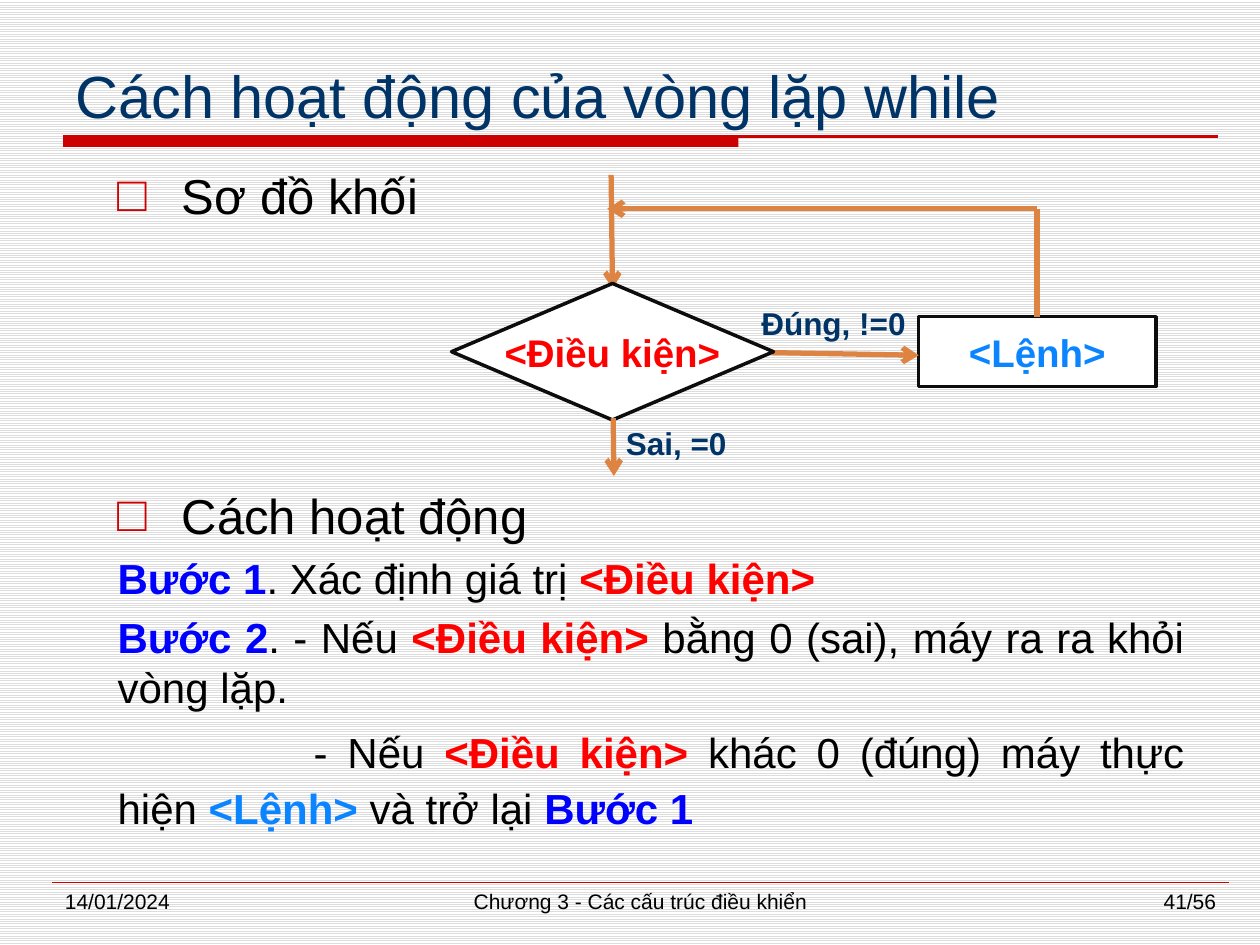
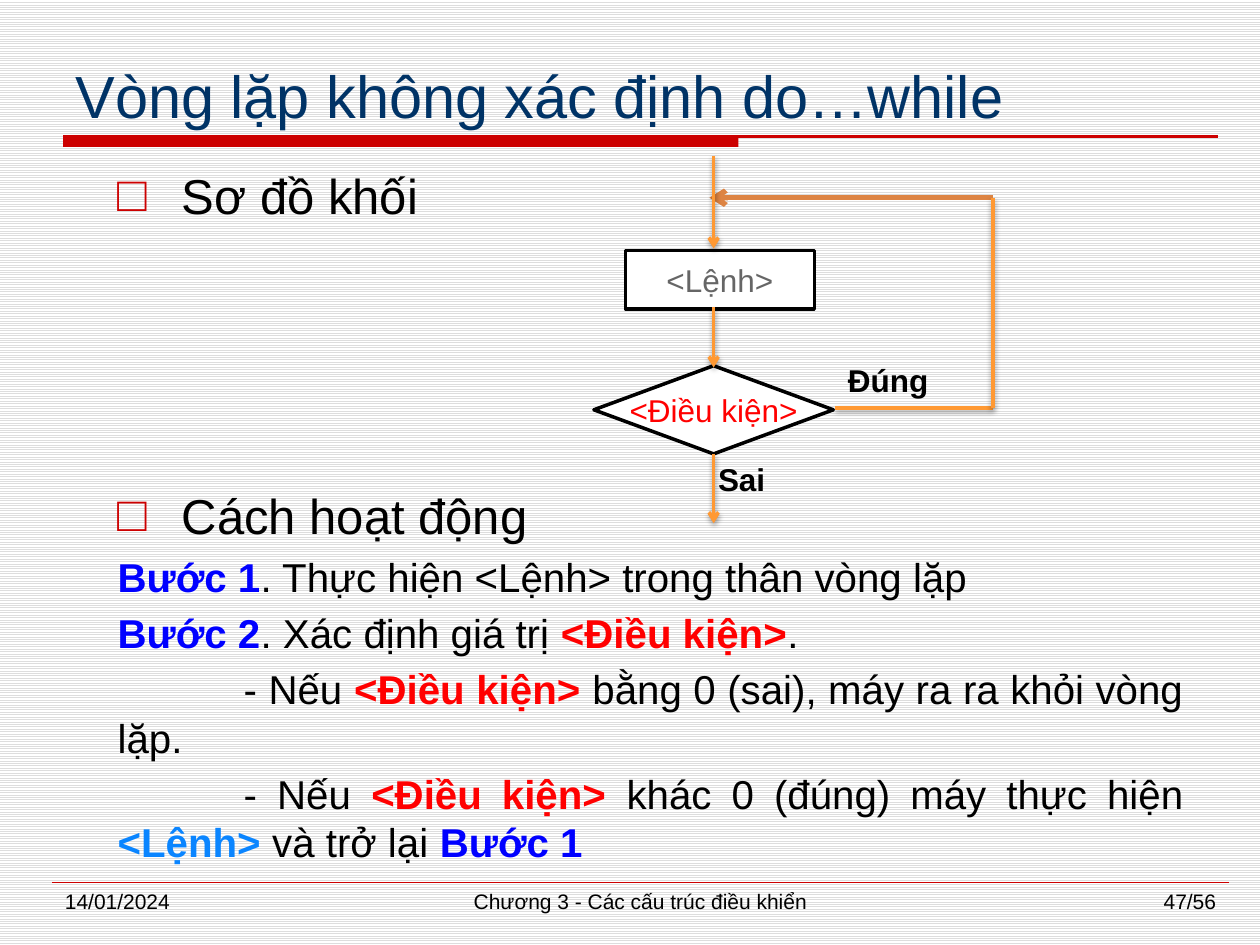
from lxml.etree import SubElement
from pptx import Presentation
from pptx.dml.color import RGBColor
from pptx.enum.dml import MSO_PATTERN
from pptx.enum.shapes import MSO_CONNECTOR, MSO_SHAPE
from pptx.enum.text import MSO_ANCHOR, MSO_AUTO_SIZE, PP_ALIGN
from pptx.oxml.ns import qn
from pptx.util import Pt

FONT = "Arial"
NAVY = RGBColor(0x00, 0x33, 0x66)
RED = RGBColor(0xCC, 0x00, 0x00)
BRIGHT_RED = RGBColor(0xFF, 0x00, 0x00)
BLUE = RGBColor(0x00, 0x00, 0xFF)
SKY = RGBColor(0x0A, 0x85, 0xFF)
COPPER = RGBColor(0xDD, 0x84, 0x43)
ORANGE = RGBColor(0xFF, 0x99, 0x33)
BLACK = RGBColor(0x00, 0x00, 0x00)
INK = RGBColor(0x0D, 0x0D, 0x0D)
GRAY = RGBColor(0x66, 0x66, 0x66)
PALE = RGBColor(0xDD, 0xDD, 0xDD)
WHITE = RGBColor(0xFF, 0xFF, 0xFF)

# Recurring words of the steps: text, colour, bold
CONDITION = ("<Điều kiện>", BRIGHT_RED, True)
COMMAND = ("<Lệnh>", SKY, True)
STEP_1 = ("Bước 1", BLUE, True)
STEP_2 = ("Bước 2", BLUE, True)

HEADING_SIZE = 28
HEADING_INDENT = 36.7
DIAGRAM_GAP = 149


def plain(text):
    return text, BLACK, False


class LectureDeck:
    def __init__(self):
        self.deck = Presentation()
        self.deck.slide_width, self.deck.slide_height = Pt(720), Pt(540)
        fill = self.deck.slide_master.background.fill
        fill.patterned()
        fill.pattern = MSO_PATTERN.LIGHT_HORIZONTAL
        fill.fore_color.rgb, fill.back_color.rgb = PALE, WHITE
        self.slide = None

    # Slide frame: title, red band, footer
    def new_slide(self, title, number):
        self.slide = self.deck.slides.add_slide(self.deck.slide_layouts[1])
        self.block(MSO_SHAPE.RECTANGLE, (36, 78, 386, 6), RED)
        self.line((36, 78), (696, 78), RED, 1.5)
        self.line((30, 504), (702, 504), RED, 0.25)
        box = self.slide.shapes.title
        self.place(box, (36, 24, 660, 54), MSO_ANCHOR.BOTTOM)
        para = box.text_frame.paragraphs[0]
        para.alignment = PP_ALIGN.LEFT
        self.span(para, (title, NAVY, False), 34)
        footers = (
            ("14/01/2024", 30, 156, PP_ALIGN.LEFT),
            ("Chương 3 - Các cấu trúc điều khiển", 210, 312, PP_ALIGN.CENTER),
            (number, 546, 156, PP_ALIGN.RIGHT),
        )
        for text, left, width, align in footers:
            self.label(plain(text), (left, 504, width, 25), 12, align)

    def place(self, box, area, anchor):
        box.left, box.top, box.width, box.height = map(Pt, area)
        frame = box.text_frame
        frame.word_wrap = True
        frame.auto_size = MSO_AUTO_SIZE.NONE
        frame.vertical_anchor = anchor

    def span(self, para, content, size):
        text, color, bold = content
        span = para.add_run()
        span.text = text
        span.font.name, span.font.size = FONT, Pt(size)
        span.font.bold, span.font.color.rgb = bold, color

    def label(self, content, area, size=18, align=PP_ALIGN.LEFT):
        box = self.slide.shapes.add_textbox(*map(Pt, area))
        box.text_frame.word_wrap = True
        para = box.text_frame.paragraphs[0]
        para.alignment = align
        self.span(para, content, size)

    def block(self, kind, area, fill, outline=None, content=None, size=18):
        shape = self.slide.shapes.add_shape(kind, *map(Pt, area))
        shape.shadow.inherit = False
        shape.fill.solid()
        shape.fill.fore_color.rgb = fill
        if outline is None:
            shape.line.fill.background()
        else:
            shape.line.color.rgb, shape.line.width = outline, Pt(2)
        if content:
            frame = shape.text_frame
            frame.word_wrap = False
            frame.vertical_anchor = MSO_ANCHOR.MIDDLE
            para = frame.paragraphs[0]
            para.alignment = PP_ALIGN.CENTER
            self.span(para, content, size)

    def line(self, start, end, color, width, arrow=False, shadow=False):
        connector = self.slide.shapes.add_connector(
            MSO_CONNECTOR.STRAIGHT, *map(Pt, start + end))
        connector.line.color.rgb, connector.line.width = color, Pt(width)
        if arrow:
            SubElement(connector.get_or_add_ln(), qn("a:tailEnd"), type="arrow")
        effects = SubElement(connector._element.spPr, qn("a:effectLst"))
        if shadow:
            outer = SubElement(effects, qn("a:outerShdw"), blurRad=str(Pt(3.1)),
                               dist=str(Pt(1.6)), dir="5400000", rotWithShape="0")
            tint = SubElement(outer, qn("a:srgbClr"), val=str(BLACK))
            SubElement(tint, qn("a:alpha"), val="38000")

    # Body list: two bulleted headings, then the steps
    def body(self, steps, size):
        box = self.slide.placeholders[1]
        self.place(box, (60, 91, 624, 408), MSO_ANCHOR.TOP)
        frame = box.text_frame
        self.heading(frame.paragraphs[0], "Sơ đồ khối", 0)
        self.heading(frame.add_paragraph(), "Cách hoạt động", DIAGRAM_GAP)
        for indent, spacing, contents in steps:
            para = frame.add_paragraph()
            self.format(para, 0, indent, 0.2 * size)
            SubElement(para._p.get_or_add_pPr(), qn("a:buNone"))
            para.line_spacing = spacing
            for content in contents:
                self.span(para, content, size)

    def heading(self, para, text, gap):
        self.format(para, HEADING_INDENT, -HEADING_INDENT, gap)
        props = para._p.get_or_add_pPr()
        SubElement(SubElement(props, qn("a:buClr")), qn("a:srgbClr"), val=str(RED))
        SubElement(props, qn("a:buFont"), typeface=FONT)
        SubElement(props, qn("a:buChar"), char="□")
        self.span(para, plain(text), HEADING_SIZE)

    def format(self, para, margin, indent, gap):
        para.alignment = PP_ALIGN.JUSTIFY
        para.space_before = Pt(gap)
        props = para._p.get_or_add_pPr()
        props.set("marL", str(Pt(margin)))
        props.set("indent", str(Pt(indent)))


def while_slide(show):
    show.new_slide("Cách hoạt động của vòng lặp while", "41/56")
    show.body([
        (0, 1.0, [STEP_1, plain(". Xác định giá trị "), CONDITION]),
        (0, 1.0, [STEP_2, plain(". - Nếu "), CONDITION,
                  plain(" bằng 0 (sai), máy ra ra khỏi vòng lặp.")]),
        (112, 1.12, [plain("- Nếu "), CONDITION,
                     plain(" khác 0 (đúng) máy thực hiện "), COMMAND,
                     plain(" và trở lại "), STEP_1]),
    ], 24)
    # Flowchart: test first, then the command and back
    center, loop_x, loop_y = 350, 592.6, 119.3
    show.line((349.2, 100), (center, 165), COPPER, 3, arrow=True)
    show.block(MSO_SHAPE.RECTANGLE, (525, 181, 135.5, 40), WHITE, INK, COMMAND, 22)
    show.line((441, 201.5), (525, 203), COPPER, 3, arrow=True)
    show.line((loop_x, loop_y), (347, loop_y), COPPER, 3, arrow=True)
    show.line((loop_x, loop_y), (loop_x, 181), COPPER, 3)
    show.label(("Đúng, !=0", NAVY, True), (428, 170, 97, 29))
    show.label(("Sai, =0", NAVY, True), (350.6, 239, 107, 29))
    show.block(MSO_SHAPE.DIAMOND, (258, 162, 184, 78), WHITE, INK, CONDITION, 22)
    show.line((350.4, 239), (350.8, 272), COPPER, 3, arrow=True)


def do_while_slide(show):
    show.new_slide("Vòng lặp không xác định do…while", "47/56")
    show.body([
        (0, 1.0, [STEP_1, plain(". Thực hiện <Lệnh> trong thân vòng lặp")]),
        (0, 1.0, [STEP_2, plain(". Xác định giá trị "), CONDITION, plain(".")]),
        (72, 1.0, [plain("- Nếu "), CONDITION,
                   plain(" bằng 0 (sai), máy ra ra khỏi vòng lặp.")]),
        (72, 1.0, [plain("- Nếu "), CONDITION,
                   plain(" khác 0 (đúng) máy thực hiện "), COMMAND,
                   plain(" và trở lại "), STEP_1]),
    ], 23)
    # Flowchart: command first, then the test and back
    center, loop_x, loop_y, test_y = 407.8, 567.4, 113, 233.2
    show.block(MSO_SHAPE.RECTANGLE, (357.4, 143, 108, 33.6), WHITE, BLACK,
               ("<Lệnh>", GRAY, False))
    show.line((loop_x, loop_y), (405.4, loop_y), COPPER, 3, arrow=True)
    show.label(("Sai", BLACK, True), (403.2, 259.2, 60, 29))
    show.label(("Đúng", BLACK, True), (477.4, 203, 70, 29))
    show.block(MSO_SHAPE.DIAMOND, (339.4, 209, 136.8, 50.4), WHITE, BLACK,
               ("<Điều kiện>", BRIGHT_RED, False))
    for top, bottom in ((89.3, 142), (175.7, 210), (259.2, 299)):
        show.line((center, top), (center, bottom), ORANGE, 2, arrow=True, shadow=True)
    show.line((477.4, test_y), (loop_x, test_y), ORANGE, 2, shadow=True)
    show.line((loop_x, loop_y), (loop_x, test_y), ORANGE, 2, shadow=True)


def main():
    show = LectureDeck()
    while_slide(show)
    do_while_slide(show)
    show.deck.save("out.pptx")


if __name__ == "__main__":
    main()
